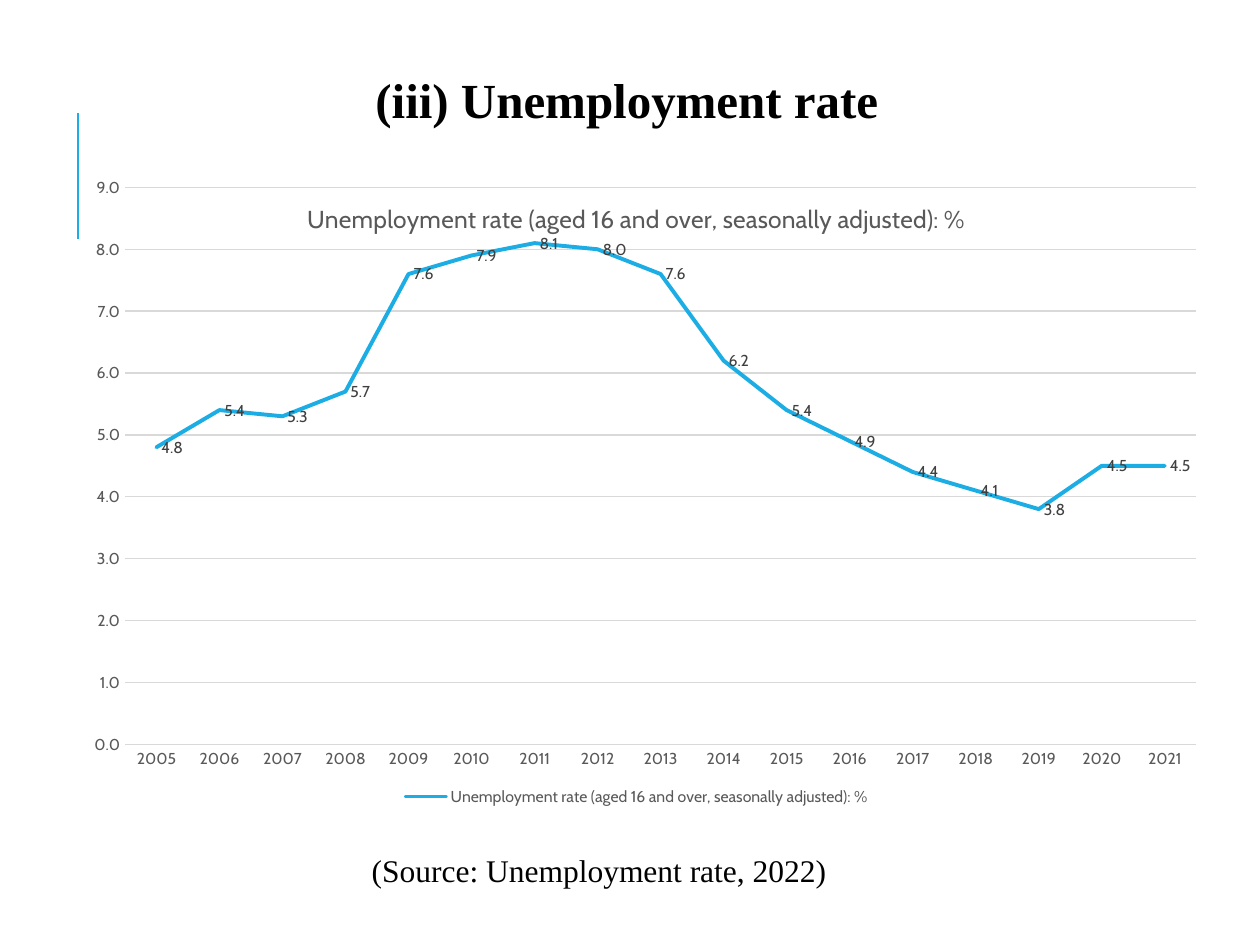
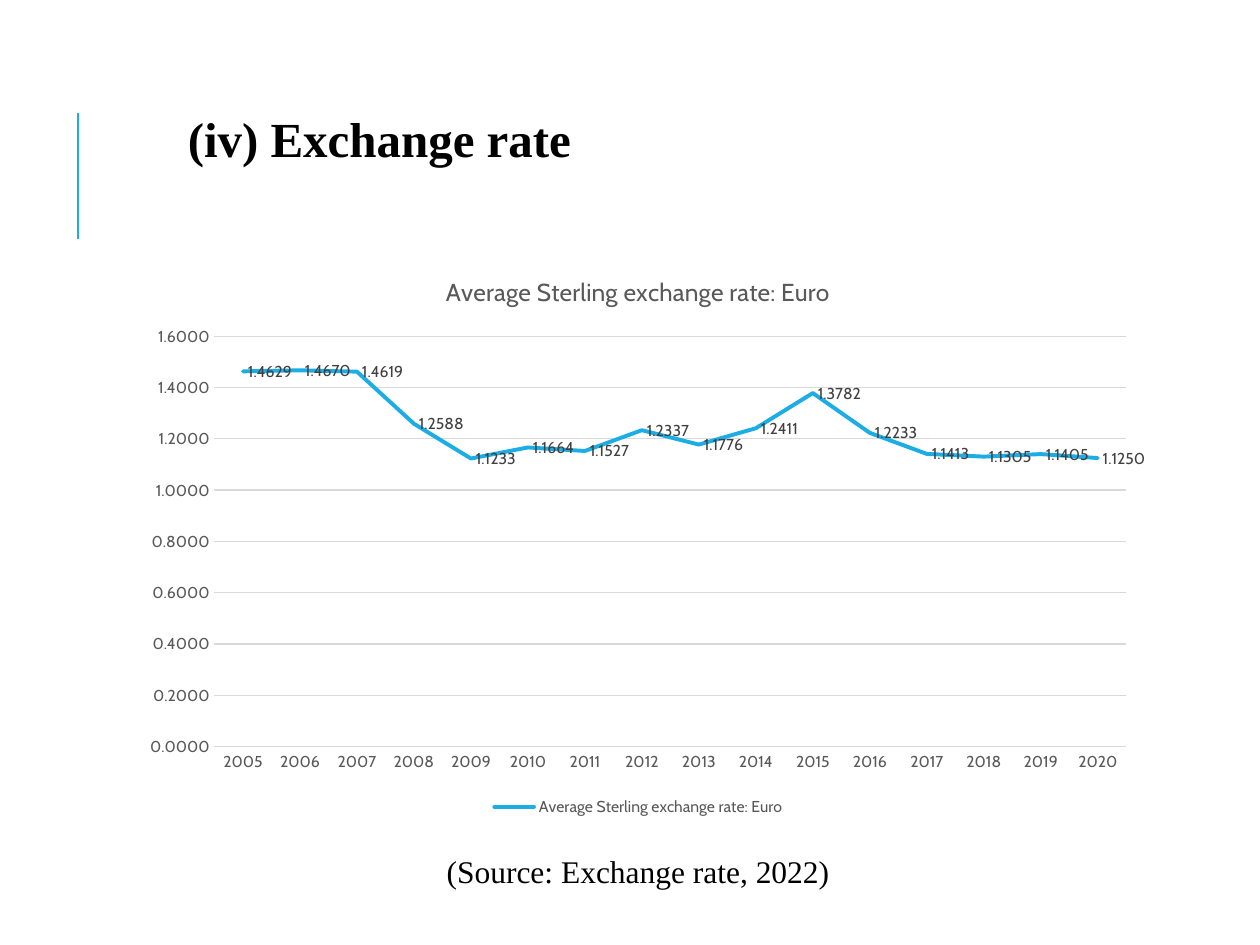
"""Build two slides that chart the unemployment rate and the exchange rate."""
from dataclasses import dataclass
from typing import Any, Optional

from lxml.etree import SubElement
from pptx import Presentation
from pptx.chart.data import CategoryChartData
from pptx.dml.color import RGBColor
from pptx.enum.chart import XL_CHART_TYPE, XL_LABEL_POSITION, XL_LEGEND_POSITION, XL_TICK_MARK
from pptx.enum.shapes import MSO_CONNECTOR
from pptx.enum.text import MSO_ANCHOR, MSO_AUTO_SIZE, PP_ALIGN
from pptx.oxml.ns import qn
from pptx.util import Inches, Pt

WIDTH, HEIGHT = Inches(10), Inches(7.5)
TEXT_FONT, CHART_FONT = "Times New Roman", "Cabin"
BLACK, ACCENT, GRID = "000000", "1CADE4", "D9D9D9"
AXIS_TEXT, LABEL_TEXT = "595959", "404040"
FIRST_YEAR = 2005
TITLE_ONLY = 5


@dataclass(frozen=True)
class Area:
    """A rectangle in percent of the slide's width and height."""

    left: float
    top: float
    width: float
    height: float

    def lengths(self) -> tuple[int, int, int, int]:
        """Return left, top, width and height as lengths."""
        return (across(self.left), down(self.top), across(self.width), down(self.height))


@dataclass(frozen=True)
class RatePage:
    """The content of one slide with a title, a line chart and a source."""

    title: str
    title_area: Area
    alignment: PP_ALIGN
    series: str
    values: tuple[float, ...]
    number_format: str
    maximum: float
    step: float
    chart_area: Area
    source: str
    source_area: Area
    plot: Optional[dict[str, float]] = None


PAGES = (
    RatePage(
        title="(iii) Unemployment rate",
        title_area=Area(6.1, 6.67, 87.3, 7.6),
        alignment=PP_ALIGN.CENTER,
        series="Unemployment rate (aged 16 and over, seasonally adjusted): %",
        values=(4.8, 5.4, 5.3, 5.7, 7.6, 7.9, 8.1, 8.0, 7.6,
                6.2, 5.4, 4.9, 4.4, 4.1, 3.8, 4.5, 4.5),
        number_format="0.0",
        maximum=9,
        step=1,
        chart_area=Area(6.1, 18.8, 88.9, 67.07),
        source="(Source: Unemployment rate, 2022)",
        source_area=Area(28.3, 88.8, 38.5, 6),
        plot={"x": 0.043, "y": 0.015, "w": 0.957, "h": 0.879},
    ),
    RatePage(
        title="(iv) Exchange rate",
        title_area=Area(13.9, 10.8, 55.1, 7.6),
        alignment=PP_ALIGN.LEFT,
        series="Average Sterling exchange rate: Euro",
        values=(1.4629, 1.4670, 1.4619, 1.2588, 1.1233, 1.1664, 1.1527, 1.2337,
                1.1776, 1.2411, 1.3782, 1.2233, 1.1413, 1.1305, 1.1405, 1.1250),
        number_format="0.0000",
        maximum=1.6,
        step=0.2,
        chart_area=Area(10.3, 26.67, 80.7, 60.27),
        source="(Source: Exchange rate, 2022)",
        source_area=Area(34.3, 88.93, 32.7, 6),
    ),
)


def across(percent: float) -> int:
    """Turn a percentage of the slide's width into a length."""
    return round(WIDTH * percent / 100)


def down(percent: float) -> int:
    """Turn a percentage of the slide's height into a length."""
    return round(HEIGHT * percent / 100)


def color(value: str) -> RGBColor:
    """Turn a hex string into a colour."""
    return RGBColor.from_string(value)


def style_font(font: Any, name: str, size: float, value: str, bold: bool = False) -> None:
    """Set the face, size, colour and weight of a font."""
    font.name = name
    font.size = Pt(size)
    font.bold = bold
    font.color.rgb = color(value)


def style_line(line: Any, value: str, width: float) -> None:
    """Set the colour and width of a line."""
    line.color.rgb = color(value)
    line.width = Pt(width)


def write_text(box: Any, text: str, size: float, alignment: PP_ALIGN, bold: bool = False) -> Any:
    """Write one formatted paragraph into a box and return it."""
    frame = box.text_frame
    frame.text = text
    frame.auto_size = MSO_AUTO_SIZE.NONE
    para = frame.paragraphs[0]
    para.alignment = alignment
    for span in para.runs:
        style_font(span.font, TEXT_FONT, size, BLACK, bold)
    return para


def add_accent(page: Any) -> None:
    """Draw the vertical accent line at the left of the slide."""
    line = page.shapes.add_connector(
        MSO_CONNECTOR.STRAIGHT, across(6.2), down(25.33), across(6.2), down(12))
    style_line(line.line, ACCENT, 1.5)
    SubElement(line._element.spPr, qn("a:effectLst"))


def add_title(page: Any, content: RatePage) -> None:
    """Move, fill and format the title placeholder."""
    box = page.shapes.title
    box.left, box.top, box.width, box.height = content.title_area.lengths()
    write_text(box, content.title, 28, content.alignment, bold=True)
    box.text_frame.vertical_anchor = MSO_ANCHOR.MIDDLE


def add_source(page: Any, content: RatePage) -> None:
    """Add the source line below the chart."""
    box = page.shapes.add_textbox(*content.source_area.lengths())
    para = write_text(box, content.source, 18, PP_ALIGN.CENTER)
    para.line_spacing = 1.15
    para.space_after = Pt(10)
    box.text_frame.word_wrap = False


def place_plot(chart: Any, shares: dict[str, float]) -> None:
    """Fix the inner plot area at shares of the chart's size."""
    plot_area = chart._chartSpace.find(".//" + qn("c:plotArea"))
    layout = plot_area.find(qn("c:layout"))
    if layout is None:
        layout = SubElement(plot_area, qn("c:layout"))
        plot_area.insert(0, layout)
    manual = SubElement(layout, qn("c:manualLayout"))
    settings = {"layoutTarget": "inner", "xMode": "edge", "yMode": "edge", **shares}
    for tag, value in settings.items():
        SubElement(manual, qn(f"c:{tag}")).set("val", str(value))


def style_axes(chart: Any, content: RatePage) -> None:
    """Format both axes and the gridlines."""
    for axis in (chart.category_axis, chart.value_axis):
        axis.major_tick_mark = XL_TICK_MARK.NONE
        axis.minor_tick_mark = XL_TICK_MARK.NONE
        style_font(axis.tick_labels.font, CHART_FONT, 9, AXIS_TEXT)
    style_line(chart.category_axis.format.line, GRID, 0.75)
    scale = chart.value_axis
    scale.minimum_scale, scale.maximum_scale = 0, content.maximum
    scale.major_unit = content.step
    scale.format.line.fill.background()
    style_line(scale.major_gridlines.format.line, GRID, 0.75)
    scale.tick_labels.number_format = content.number_format
    scale.tick_labels.number_format_is_linked = False


def style_series(chart: Any, content: RatePage) -> None:
    """Format the rate's line and its value labels."""
    chart.plots[0].vary_by_categories = False
    series = chart.plots[0].series[0]
    series.smooth = False
    style_line(series.format.line, ACCENT, 2.25)
    series.format.line._ln.set("cap", "rnd")
    labels = series.data_labels
    labels.show_value = True
    labels.position = XL_LABEL_POSITION.RIGHT
    labels.number_format = content.number_format
    labels.number_format_is_linked = False
    style_font(labels.font, CHART_FONT, 9, LABEL_TEXT)


def add_rate_chart(page: Any, content: RatePage) -> None:
    """Add the line chart with its title and legend."""
    data = CategoryChartData(number_format=content.number_format)
    data.categories = [str(FIRST_YEAR + index) for index in range(len(content.values))]
    data.add_series(content.series, content.values)
    chart = page.shapes.add_chart(
        XL_CHART_TYPE.LINE, *content.chart_area.lengths(), data).chart
    style_font(chart.font, CHART_FONT, 10, BLACK)
    chart.has_title = True
    heading = chart.chart_title.text_frame
    heading.text = content.series
    style_font(heading.paragraphs[0].runs[0].font, CHART_FONT, 14, AXIS_TEXT)
    chart.has_legend = True
    chart.legend.position = XL_LEGEND_POSITION.BOTTOM
    chart.legend.include_in_layout = False
    style_font(chart.legend.font, CHART_FONT, 9, AXIS_TEXT)
    style_axes(chart, content)
    style_series(chart, content)
    if content.plot:
        place_plot(chart, content.plot)


def main() -> None:
    """Build the deck and save it."""
    deck = Presentation()
    deck.slide_width, deck.slide_height = WIDTH, HEIGHT
    for content in PAGES:
        page = deck.slides.add_slide(deck.slide_layouts[TITLE_ONLY])
        add_accent(page)
        add_title(page, content)
        add_rate_chart(page, content)
        add_source(page, content)
    deck.save("out.pptx")


if __name__ == "__main__":
    main()
